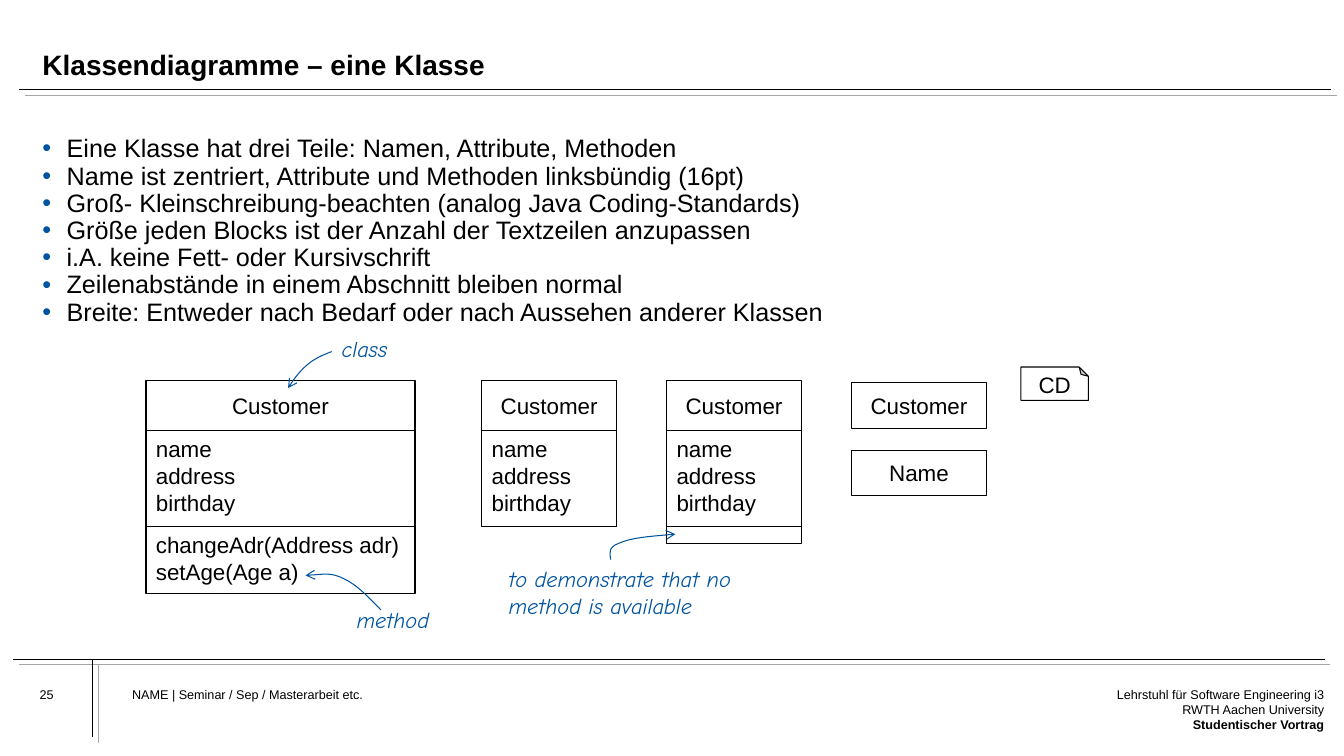
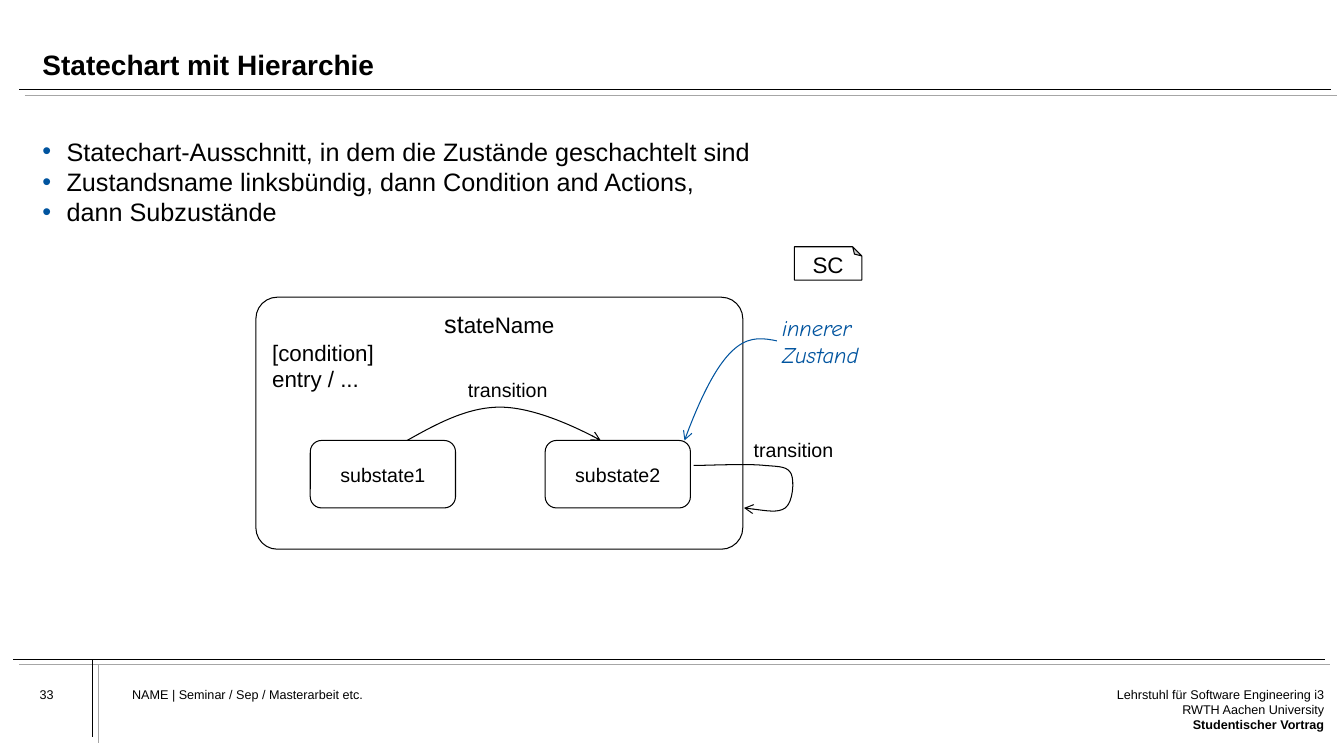
from lxml import etree
from pptx import Presentation
from pptx import util as u
from pptx.dml.color import RGBColor
from pptx.enum import shapes as es, text as et
from pptx.oxml.ns import qn

BLACK, GREY, BLUE, WHITE = "000000", "A6A6A6", "00549F", "FFFFFF"
SANS, HAND = "Arial", "Comic Neue"
LEFT, MID, RIGHT = et.PP_ALIGN.LEFT, et.PP_ALIGN.CENTER, et.PP_ALIGN.RIGHT
TOP, CORE, BASE = et.MSO_ANCHOR.TOP, et.MSO_ANCHOR.MIDDLE, et.MSO_ANCHOR.BOTTOM
RECT = es.MSO_SHAPE.RECTANGLE
ROUND = es.MSO_SHAPE.ROUNDED_RECTANGLE
FOLD = es.MSO_SHAPE.FOLDED_CORNER

WIDE, SLIM = 6.78, 3.4          # class widths
HEAD, ATTR, METH = 1.27, 2.41, 1.7  # class section heights
FIELDS = ["name", "address", "birthday"]


def color(code):
    return RGBColor.from_string(code)


def cm(*vals):
    return [u.Cm(v) for v in vals]


# Text
def write(shape, lines, size=16, font=SANS, ink=BLACK, align=LEFT, anchor=TOP,
          bold=False, slant=False, pad=True, space=None, bullet=False):
    frame = shape.text_frame
    frame.word_wrap = True
    frame.vertical_anchor = anchor
    if not pad:
        frame.margin_left = frame.margin_right = 0
        frame.margin_top = frame.margin_bottom = 0
    for i, line in enumerate(lines):
        para = frame.add_paragraph() if i else frame.paragraphs[0]
        para.text = line
        para.alignment = align
        para.line_spacing = space
        if bullet:
            mark(para)
        para.font.size = u.Pt(size)
        para.font.name = font
        para.font.bold = bold
        para.font.italic = slant
        para.font.color.rgb = color(ink)
    return frame


def mark(para):
    props = para._p.get_or_add_pPr()
    props.set("marL", str(u.Cm(0.61)))
    props.set("indent", str(-u.Cm(0.61)))
    tint = etree.SubElement(props, qn("a:buClr"))
    etree.SubElement(tint, qn("a:srgbClr"), val=BLUE)
    etree.SubElement(props, qn("a:buFont"), typeface=SANS)
    etree.SubElement(props, qn("a:buChar"), char="•")


def label(slide, at, lines, **style):
    return write(slide.shapes.add_textbox(*cm(*at)), lines, **style)


def note(slide, at, lines):
    label(slide, at, lines, font=HAND, ink=BLUE, slant=True)


# Lines and shapes
def rule(slide, x, y, dx, dy, ink):
    line = slide.shapes.add_connector(
        es.MSO_CONNECTOR.STRAIGHT, *cm(x, y, x + dx, y + dy))
    line.line.color.rgb = color(ink)
    line.line.width = u.Pt(0.5)
    etree.SubElement(line._element.spPr, qn("a:effectLst"))


def outline(shape, ink=BLACK, fill=None):
    shape.shadow.inherit = False
    if fill:
        shape.fill.solid()
        shape.fill.fore_color.rgb = color(fill)
    else:
        shape.fill.background()
    shape.line.color.rgb = color(ink)
    shape.line.width = u.Pt(0.75)


def box(slide, at, lines=(), kind=RECT, fill=None, adj=None, **style):
    shape = slide.shapes.add_shape(kind, *cm(*at))
    outline(shape, fill=fill)
    if adj:
        bend(shape, adj)
    write(shape, lines, **style)
    return shape


def bend(shape, adj):
    """Set the corner size, also for presets without listed adjustments."""
    geom = shape._element.spPr.find(qn("a:prstGeom"))
    for old in list(geom):
        geom.remove(old)
    guides = etree.SubElement(geom, qn("a:avLst"))
    etree.SubElement(guides, qn("a:gd"), name="adj",
                     fmla=f"val {round(adj * 100000)}")


def curve(slide, ink, *points):
    """Arrow along Bezier pieces: a start, then three points per piece."""
    start, *rest = [cm(*point) for point in points]
    form = slide.shapes.build_freeform(*start)
    form.add_line_segments(rest, close=False)
    shape = form.convert_to_shape()
    outline(shape, ink)
    way = next(shape._element.iter(qn("a:path")))
    steps = way.findall(qn("a:lnTo"))
    for i in range(0, len(steps), 3):
        piece = etree.SubElement(way, qn("a:cubicBezTo"))
        for step in steps[i:i + 3]:
            piece.append(step[0])
            way.remove(step)
    edge = shape._element.spPr.find(qn("a:ln"))
    etree.SubElement(edge, qn("a:tailEnd"), type="arrow")


# Diagram parts
def klass(slide, x, width, *parts):
    y = 9.58
    for i, (high, lines) in enumerate(parts):
        style = {} if i else {"align": MID, "anchor": CORE}
        box(slide, (x, y, width, high), lines, **style)
        y += high


def tag(slide, x, y, name):
    shape = box(slide, (x, y, 1.7, 0.84), [name], FOLD, WHITE, 0.276,
                align=MID, anchor=CORE, space=0.7)
    shape._element.spPr.find(qn("a:xfrm")).set("flipV", "1")
    body = shape._element.txBody.find(qn("a:bodyPr"))
    body.set("rot", "10800000")


# Shared title, bullets, rules and footer
def page(deck, num, title, points, space):
    slide = deck.slides.add_slide(deck.slide_layouts[6])
    for x, y, dx, dy in ((0.48, 2.26, 33.07, 0), (0.33, 16.61, 33.05, 0),
                         (2.34, 16.61, 0, 1.96)):
        rule(slide, x, y, dx, dy, BLACK)
        rule(slide, x + 0.15, y + 0.14, dx, dy, GREY)
    label(slide, (1.07, 0.56, 31.9, 1.5), [title], size=20, bold=True,
          anchor=BASE, pad=False, space=0.9)
    label(slide, (1.07, 3.43, 31.9, 12.19), points, size=18, pad=False,
          space=space, bullet=True)
    label(slide, (1, 17.3, 2, 1.1), [str(num)], size=9, pad=False)
    label(slide, (3.33, 17.3, 19.46, 1.75),
          ["NAME | Seminar / Sep / Masterarbeit etc."], size=9, pad=False)
    chair = label(slide, (27.91, 17.3, 5.46, 1.75),
                  ["Lehrstuhl für Software Engineering i3",
                   "RWTH Aachen University", "Studentischer Vortrag"],
                  size=9, align=RIGHT, pad=False)
    chair.paragraphs[-1].font.bold = True
    return slide


def classes(deck):
    slide = page(deck, 25, "Klassendiagramme – eine Klasse", [
        "Eine Klasse hat drei Teile: Namen, Attribute, Methoden",
        "Name ist zentriert, Attribute und Methoden linksbündig (16pt)",
        "Groß- Kleinschreibung-beachten (analog Java Coding-Standards)",
        "Größe jeden Blocks ist der Anzahl der Textzeilen anzupassen",
        "i.A. keine Fett- oder Kursivschrift",
        "Zeilenabstände in einem Abschnitt bleiben normal",
        "Breite: Entweder nach Bedarf oder nach Aussehen anderer Klassen",
    ], 0.9)
    # Classes with fewer and fewer sections
    name, attrs = (HEAD, ["Customer"]), (ATTR, FIELDS)
    calls = (METH, ["changeAdr(Address adr)", "setAge(Age a)"])
    first, second, third = (12.14 + 4.66 * i for i in range(3))
    klass(slide, 3.68, WIDE, name, attrs, calls)
    klass(slide, first, SLIM, name, attrs)
    klass(slide, second, SLIM, name, attrs, (0.43, []))
    for i, word in enumerate(("Customer", "Name")):
        box(slide, (third, 9.65 + 1.7 * i, SLIM, 1.14), [word],
            align=MID, anchor=CORE)
    tag(slide, 25.73, 9.25, "CD")
    # Notes with arrows
    note(slide, (8.36, 8.31, 2.5, 0.94), ["class"])
    curve(slide, BLUE, (8.36, 8.86), (8.03, 8.99), (7.67, 9.12), (7.26, 9.78))
    note(slide, (8.74, 15.14, 3, 0.94), ["method"])
    curve(slide, BLUE, (9.6, 15.37), (9.3, 15.06), (8.99, 14.73),
          (8.66, 14.58), (8.36, 14.43), (8.03, 14.48), (7.7, 14.5))
    note(slide, (12.57, 14.12, 7.5, 1.63),
         ["to demonstrate that no", "method is available"])
    curve(slide, BLUE, (15.39, 14.1), (15.37, 13.94), (15.32, 13.79),
          (15.6, 13.69), (15.88, 13.56), (16.43, 13.51), (17.02, 13.46))


def states(deck):
    slide = page(deck, 33, "Statechart mit Hierarchie", [
        "Statechart-Ausschnitt, in dem die Zustände geschachtelt sind",
        "Zustandsname linksbündig, dann Condition and Actions,",
        "dann Subzustände",
    ], 1.0)
    # Outer state and its substates
    outer = box(slide, (6.45, 7.49, 12.27, 6.35),
                ["st", "[condition]", "entry / ..."], ROUND, adj=0.085)
    head = outer.text_frame.paragraphs[0]
    head.alignment = MID
    head.runs[0].font.size = u.Pt(18)
    head.add_run().text = "ateName"
    for i, x in enumerate((7.82, 13.74), 1):
        box(slide, (x, 11.1, 3.66, 1.7), [f"substate{i}"], ROUND, WHITE,
            0.167, size=14, align=MID, anchor=CORE)
    tag(slide, 20.02, 6.22, "SC")
    # Transitions
    curve(slide, BLACK, (10.26, 11.1), (11.02, 10.67), (11.79, 10.26),
          (12.6, 10.26), (13.41, 10.26), (14.71, 10.85), (15.14, 11.1))
    curve(slide, BLACK, (17.48, 11.73), (17.78, 11.73), (18.87, 11.68),
          (19.28, 11.73), (19.69, 11.76), (19.84, 11.76), (19.94, 11.94),
          (20.02, 12.12), (19.99, 12.65), (19.79, 12.8),
          (19.61, 12.93), (19.18, 12.85), (18.75, 12.8))
    for x, y in ((11.3, 9.4), (18.5, 10.9)):
        label(slide, (x, y, 3, 0.84), ["transition"], size=14, align=MID)
    # Note with arrow
    note(slide, (19.46, 7.8, 3.1, 1.63), ["innerer", "Zustand"])
    curve(slide, BLUE, (19.58, 8.59), (18.92, 8.46), (18.26, 8.36),
          (17.25, 11.1))


def main():
    deck = Presentation()
    deck.slide_width, deck.slide_height = cm(33.87, 19.05)
    classes(deck)
    states(deck)
    deck.save("out.pptx")


if __name__ == "__main__":
    main()
